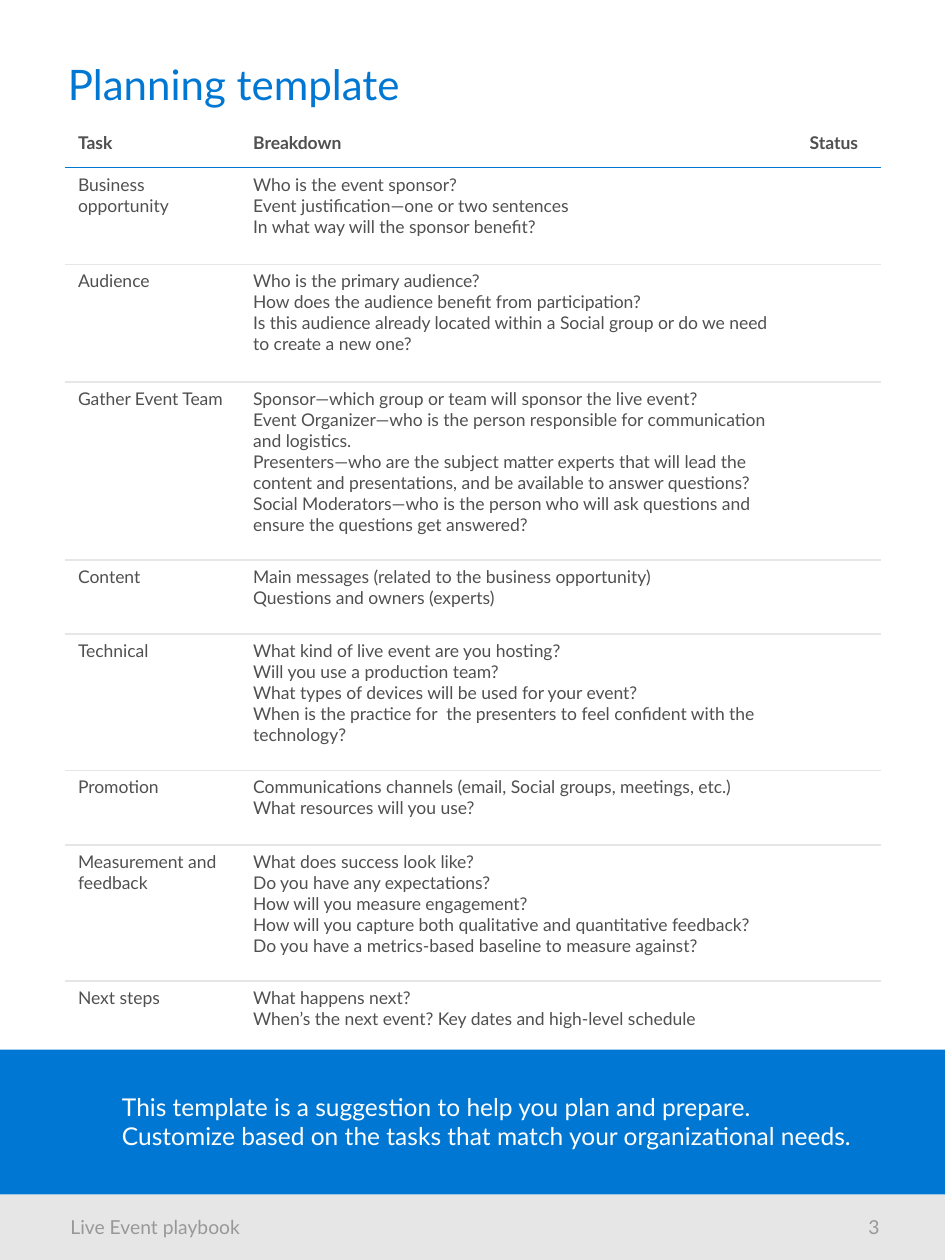
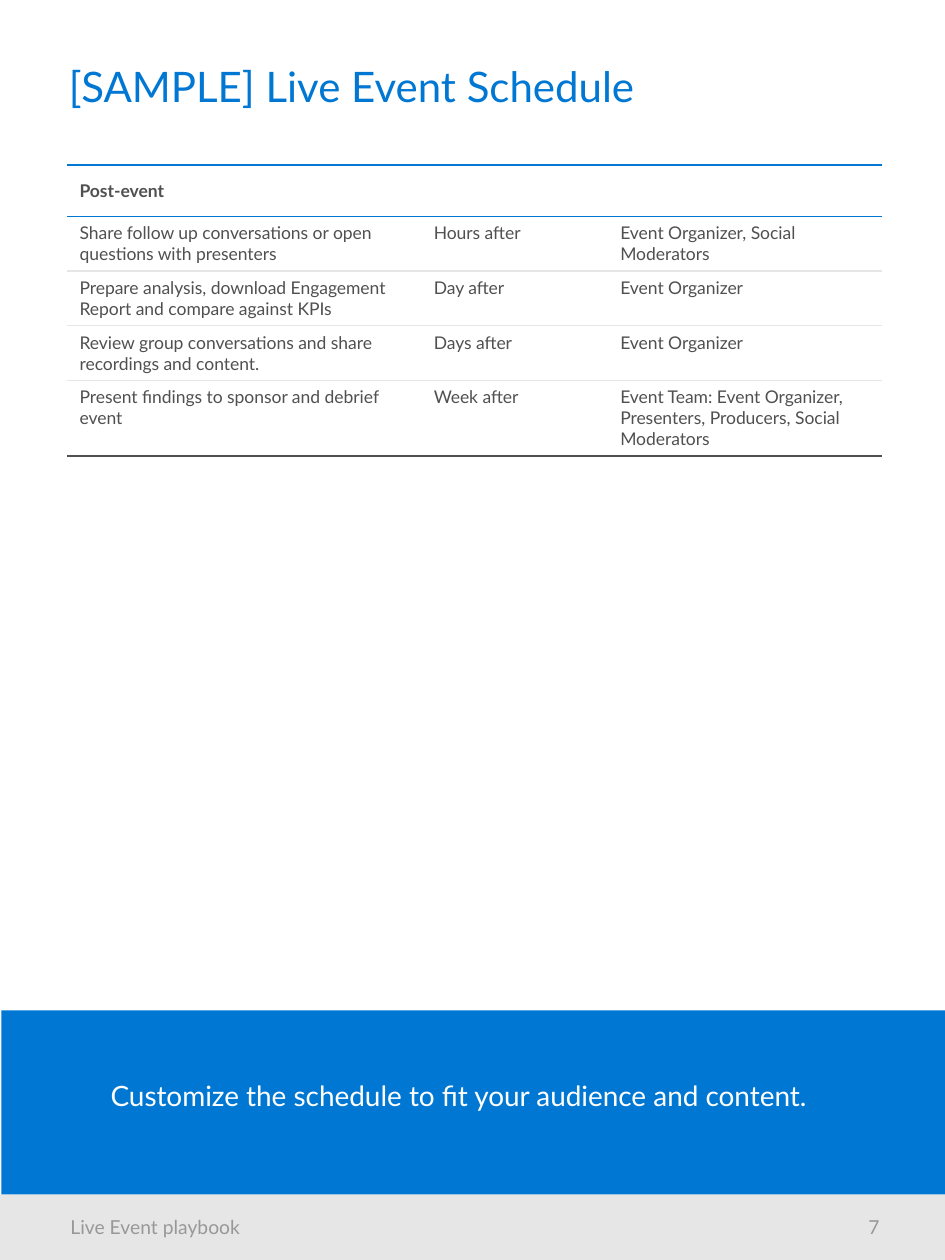
from lxml import etree
from pptx import Presentation
from pptx.dml.color import RGBColor
from pptx.enum.shapes import MSO_SHAPE
from pptx.enum.text import MSO_ANCHOR, PP_ALIGN
from pptx.oxml.ns import qn
from pptx.util import Cm, Pt

RECT = MSO_SHAPE.RECTANGLE
TOP, MIDDLE = MSO_ANCHOR.TOP, MSO_ANCHOR.MIDDLE
LEFT, CENTER, RIGHT = PP_ALIGN.LEFT, PP_ALIGN.CENTER, PP_ALIGN.RIGHT

WIDTH, HEIGHT = 19.05, 25.4
FOOTER_TOP = 24.08
FOOTER_HEIGHT = HEIGHT - FOOTER_TOP
FONT = "Lato"
COLORS = {
    "blue": "0078D3",
    "grey": "E7E6E6",
    "text": "505050",
    "footer": "989898",
    "white": "FFFFFF",
}

PLANNING_ROWS = [
    (["Task"], ["Breakdown"], ["Status"]),
    (["Business opportunity"], [
        "Who is the event sponsor?",
        "Event justification—one or two sentences",
        "In what way will the sponsor benefit?",
    ], []),
    (["Audience"], [
        "Who is the primary audience?",
        "How does the audience benefit from participation?",
        "Is this audience already located within a Social group or do we "
        "need to create a new one?",
    ], []),
    (["Gather Event Team"], [
        "Sponsor—which group or team will sponsor the live event?",
        "Event Organizer—who is the person responsible for communication "
        "and logistics.",
        "Presenters—who are the subject matter experts that will lead the "
        "content and presentations, and be available to answer questions?",
        "Social Moderators—who is the person who will ask questions and "
        "ensure the questions get answered?",
    ], []),
    (["Content"], [
        "Main messages (related to the business opportunity)",
        "Questions and owners (experts)",
    ], []),
    (["Technical"], [
        "What kind of live event are you hosting?",
        "Will you use a production team?",
        "What types of devices will be used for your event?",
        "When is the practice for  the presenters to feel confident with the "
        "technology?",
    ], []),
    (["Promotion"], [
        "Communications channels (email, Social groups, meetings, etc.)",
        "What resources will you use?",
    ], []),
    (["Measurement and feedback"], [
        "What does success look like?",
        "Do you have any expectations?",
        "How will you measure engagement?",
        "How will you capture both qualitative and quantitative feedback?",
        "Do you have a metrics-based baseline to measure against?",
    ], []),
    (["Next steps"], [
        "What happens next?",
        "When’s the next event? Key dates and high-level schedule",
    ], []),
]

SCHEDULE_ROWS = [
    (["Post-event"], [], []),
    (["Share follow up conversations or open questions with presenters"],
     ["Hours after"], ["Event Organizer, Social Moderators"]),
    (["Prepare analysis, download Engagement Report and compare against KPIs"],
     ["Day after"], ["Event Organizer"]),
    (["Review group conversations and share recordings and content."],
     ["Days after"], ["Event Organizer"]),
    (["Present findings to sponsor and debrief event"],
     ["Week after"],
     ["Event Team: Event Organizer, Presenters, Producers, Social Moderators"]),
]


def rgb(name):
    return RGBColor.from_string(COLORS[name])


class Playbook:
    def __init__(self):
        self.prs = Presentation()
        self.prs.slide_width = Cm(WIDTH)
        self.prs.slide_height = Cm(HEIGHT)
        self.s = None

    def slide(self, title, left, top, number):
        self.s = self.prs.slides.add_slide(self.prs.slide_layouts[6])
        self.band(0, FOOTER_TOP, FOOTER_HEIGHT, "grey")
        self.text([title], (left, top, 16.43, 1.98), 24, "blue", MIDDLE, spacing=0.9)
        self.text(["Live Event playbook"], (1.17, FOOTER_TOP, 6.43, FOOTER_HEIGHT),
                  11, "footer", MIDDLE)
        self.text([str(number)], (13.69, FOOTER_TOP, 4.29, FOOTER_HEIGHT),
                  11, "footer", MIDDLE, RIGHT)

    def band(self, left, top, height, color):
        sp = self.s.shapes.add_shape(RECT, Cm(left), Cm(top), Cm(WIDTH), Cm(height))
        sp.shadow.inherit = False
        sp.fill.solid()
        sp.fill.fore_color.rgb = rgb(color)
        sp.line.fill.background()

    def paragraphs(self, tf, lines, size, color, align=LEFT, bold=False, spacing=1.0):
        for i, line in enumerate(lines):
            p = tf.paragraphs[0] if i == 0 else tf.add_paragraph()
            p.alignment = align
            p.line_spacing = spacing
            r = p.add_run()
            r.text = line
            for key, value in {"name": FONT, "size": Pt(size), "bold": bold}.items():
                setattr(r.font, key, value)
            r.font.color.rgb = rgb(color)

    def text(self, lines, box, size, color, anchor=TOP, align=LEFT, spacing=1.0):
        tf = self.s.shapes.add_textbox(*map(Cm, box)).text_frame
        tf.word_wrap = True
        tf.vertical_anchor = anchor
        self.paragraphs(tf, lines, size, color, align, spacing=spacing)

    def border(self, cell, side, color=None):
        tc_pr = cell._tc.get_or_add_tcPr()
        ln = etree.SubElement(tc_pr, qn(f"a:ln{side}"), w=str(Pt(1)))
        if color is None:
            etree.SubElement(ln, qn("a:noFill"))
        else:
            fill = etree.SubElement(ln, qn("a:solidFill"))
            etree.SubElement(fill, qn("a:srgbClr"), val=COLORS[color])

    def table(self, left, top, widths, heights, rows, edges, header_align=LEFT):
        frame = self.s.shapes.add_table(len(rows), len(widths), Cm(left), Cm(top),
                                        Cm(sum(widths)), Cm(sum(heights)))
        table = frame.table
        table.first_row = table.horz_banding = False
        for col, width in zip(table.columns, widths):
            col.width = Cm(width)
        for row, height in zip(table.rows, heights):
            row.height = Cm(height)
        first, last = edges
        rules = [first, "blue"] + ["grey"] * (len(rows) - 2) + [last]
        for i, row in enumerate(rows):
            header = i == 0
            for j, lines in enumerate(row):
                cell = table.cell(i, j)
                for side, color in zip("LRTB", (None, None, rules[i], rules[i + 1])):
                    self.border(cell, side, color)
                cell.fill.background()
                cell.vertical_anchor = MIDDLE if header else TOP
                align = header_align if header and j == len(row) - 1 else LEFT
                self.paragraphs(cell.text_frame, lines, 10, "text", align, header)

    def callout(self, left, top, box, lines, size):
        self.band(left, top, FOOTER_TOP - top, "blue")
        self.text(lines, box, size, "white")


def main():
    pb = Playbook()

    pb.slide("Planning template", 1.12, 0.76, 3)
    pb.table(1.32, 2.36, [3.53, 11.02, 1.88],
             [1.02, 1.95, 2.37, 3.59, 1.49, 2.75, 1.5, 2.75, 1.5],
             PLANNING_ROWS, (None, "blue"), CENTER)
    pb.callout(0, 21.16, (2.21, 21.89, 15.77, 1.45), [
        "This template is a suggestion to help you plan and prepare.",
        "Customize based on the tasks that match your organizational needs.",
    ], 14)

    pb.slide("[SAMPLE] Live Event Schedule", 1.14, 0.81, 7)
    pb.table(1.35, 3.33, [7.14, 3.76, 5.54], [1.03, 1.1, 1.1, 1.1, 1.52],
             SCHEDULE_ROWS, ("blue", "text"))
    pb.callout(0.03, 20.37, (1.98, 21.62, 16.46, 0.94),
               ["Customize the schedule to fit your audience and content."], 16)

    pb.prs.save("out.pptx")


if __name__ == "__main__":
    main()
